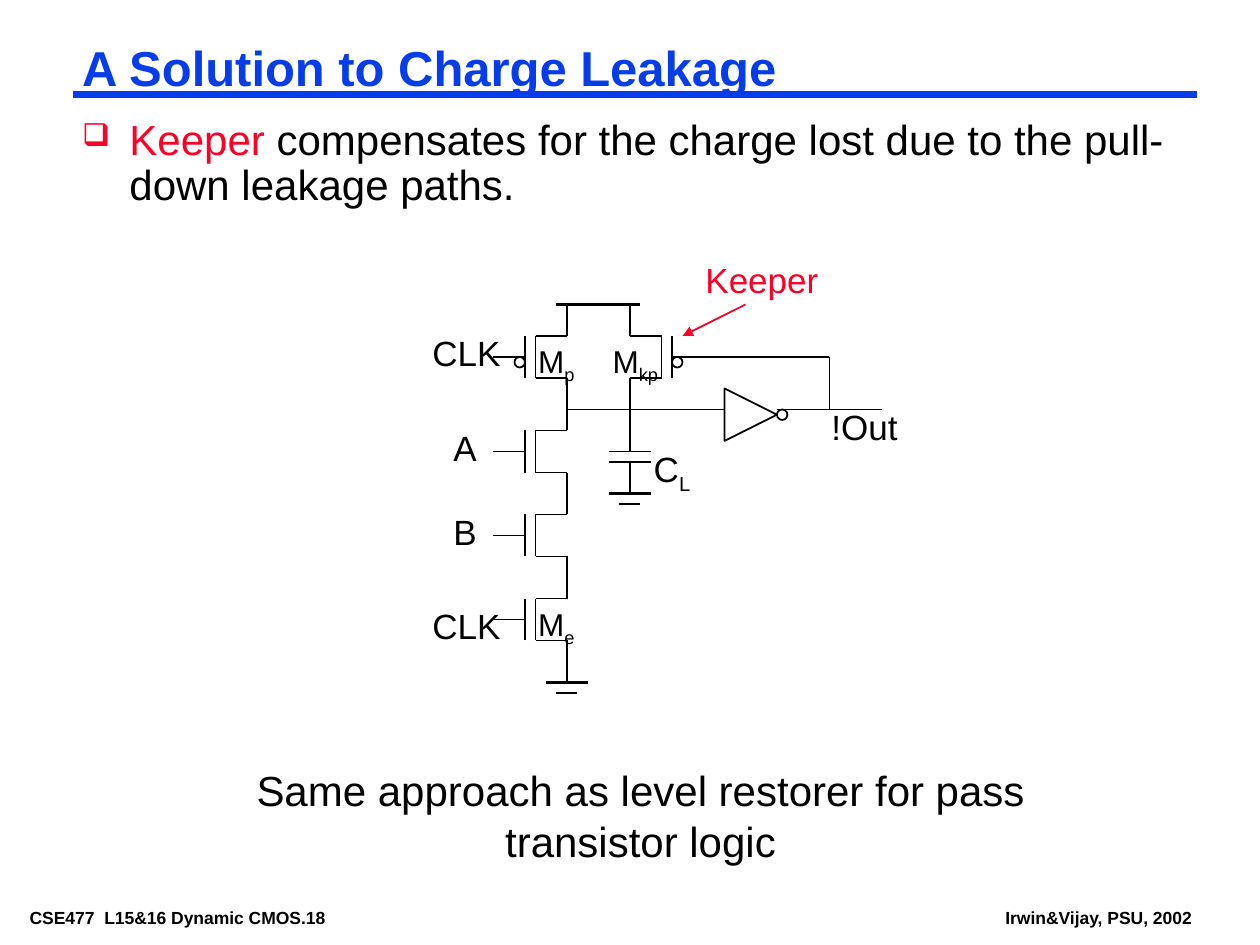
"""Build the charge leakage slide with its keeper circuit."""
from pptx import Presentation
from pptx.dml.color import RGBColor
from pptx.enum.shapes import MSO_CONNECTOR, MSO_SHAPE as Shape
from pptx.enum.text import MSO_AUTO_SIZE as AutoSize, PP_ALIGN as Align
from pptx.oxml.ns import qn
from pptx.util import Pt
from lxml.etree import SubElement

BLACK, BLUE, RED = "000000", "063DE8", "FC0128"
THIN, THICK = 1, 2.25
SMALL, WIDE = (5, 2.2), (7.2, 3.6)

TITLE = "A Solution to Charge Leakage"
BULLET = [("Keeper", RED),
          (" compensates for the charge lost due to the pull-down leakage paths.", BLACK)]
REMARK = "Same approach as level restorer for pass transistor logic"
FOOTERS = [("CSE477  L15&16 Dynamic CMOS.18", 12, 216),
           ("Irwin&Vijay, PSU, 2002", 569.5, 118)]

# drain x, top y, side of the gate, has a bubble
TRANSISTORS = [(324, 192, -1, True), (324, 246, -1, False), (324, 294, -1, False),
               (324, 342, -1, False), (360, 192, 1, True)]
GROUNDS = [(324, 390), (360, 282)]
SUPPLY = (318, 174, 366, 174)
WIRES = [(324, 234, 414, 234), (444, 234, 504, 234), (396, 204, 474, 204),
         (474, 204, 474, 234), (360, 234, 360, 258),
         (348, 258, 372, 258), (348, 264, 372, 264)]
POINTER = (426, 174, 390, 192)

# text, subscript, left, top, width, size, colour
LABELS = [("C", "L", 366.5, 252, 36, 20, BLACK),
          ("CLK", "", 240, 342, 54, 20, BLACK),
          ("CLK", "", 240, 186, 54, 20, BLACK),
          ("M", "e", 300.5, 342, 36, 18, BLACK),
          ("M", "p", 300.5, 192, 36, 18, BLACK),
          ("A", "", 252, 240, 28, 20, BLACK),
          ("B", "", 252, 288, 28, 20, BLACK),
          ("!Out", "", 468, 228, 53, 20, BLACK),
          ("M", "kp", 343, 192, 41, 18, BLACK),
          ("Keeper", "", 396, 144, 79, 20, RED)]


def rgb(color):
    return RGBColor.from_string(color)


def line(s, x1, y1, x2, y2, width=THIN, color=BLACK):
    c = s.shapes.add_connector(MSO_CONNECTOR.STRAIGHT, Pt(x1), Pt(y1), Pt(x2), Pt(y2))
    c.line.width, c.line.color.rgb = Pt(width), rgb(color)
    SubElement(c._element.spPr, qn("a:effectLst"))
    return c


def outline(s, kind, x, y, size, rotation=0):
    sp = s.shapes.add_shape(kind, Pt(x), Pt(y), Pt(size), Pt(size))
    sp.shadow.inherit = False
    sp.fill.background()
    sp.line.width, sp.line.color.rgb = Pt(THIN), rgb(BLACK)
    sp.rotation = rotation


def text_box(s, x, y, w, h, insets, wrap=True):
    tf = s.shapes.add_textbox(Pt(x), Pt(y), Pt(w), Pt(h)).text_frame
    tf.word_wrap = wrap
    tf.auto_size = AutoSize.SHAPE_TO_FIT_TEXT
    tf.margin_left = tf.margin_right = Pt(insets[0])
    tf.margin_top = tf.margin_bottom = Pt(insets[1])
    return tf.paragraphs[0]


def run(p, text, size, color=BLACK, bold=False):
    r = p.add_run()
    r.text = text
    r.font.name, r.font.size, r.font.bold = "Arial", Pt(size), bold
    r.font.color.rgb = rgb(color)
    return r


def transistor(s, x, y, side, bubble):
    channel, gate, lead = (x + side * d for d in (18, 24, 42))
    for ends in [(channel, y, x, y), (channel, y, channel, y + 24),
                 (channel, y + 24, x, y + 24), (gate, y, gate, y + 24),
                 (x, y + 24, x, y + 42), (lead, y + 12, gate, y + 12),
                 (x, y - 18, x, y)]:
        line(s, *ends)
    if bubble:
        outline(s, Shape.OVAL, min(gate, gate + side * 6), y + 12, 6)


def ground(s, x, y):
    line(s, x, y - 18, x, y)
    line(s, x - 12, y, x + 12, y, THICK)
    line(s, x - 6, y + 6, x + 6, y + 6)


def circuit(s):
    for part in TRANSISTORS:
        transistor(s, *part)
    line(s, *SUPPLY, THICK)
    for wire in WIRES:
        line(s, *wire)
    outline(s, Shape.ISOSCELES_TRIANGLE, 414, 222, 30, 90)
    outline(s, Shape.OVAL, 444, 234, 6)
    for part in GROUNDS:
        ground(s, *part)
    for text, sub, x, y, w, size, color in LABELS:
        p = text_box(s, x, y, w, 31.5, WIDE, wrap=False)
        run(p, text, size, color)
        if sub:
            run(p, sub, size, color).font._element.set("baseline", "-25000")
    arrow = line(s, *POINTER, THIN, RED)
    SubElement(arrow.line._get_or_add_ln(), qn("a:tailEnd"), type="triangle")


def bullet(p, char, color, percent, indent):
    pPr = p._p.get_or_add_pPr()
    pPr.set("marL", str(Pt(indent)))
    pPr.set("indent", str(-Pt(indent)))
    SubElement(SubElement(pPr, qn("a:buClr")), qn("a:srgbClr"), val=color)
    SubElement(pPr, qn("a:buSzPct"), val=str(percent * 1000))
    SubElement(pPr, qn("a:buChar"), char=char)


def main():
    prs = Presentation()
    prs.slide_width, prs.slide_height = Pt(720), Pt(540)
    s = prs.slides.add_slide(prs.slide_layouts[6])

    for text, x, w in FOOTERS:
        run(text_box(s, x, 516, w, 16, SMALL), text, 10, bold=True)
    line(s, 42, 54, 684, 54, 4.5, BLUE)
    p = text_box(s, 42, 24, 642, 33, SMALL)
    p.line_spacing = 0.87
    run(p, TITLE, 28, BLUE, True)

    circuit(s)

    p = text_box(s, 102, 433.5, 528, 65, WIDE)
    p.alignment = Align.CENTER
    run(p, REMARK, 24)
    p = text_box(s, 42, 66, 642, 56, SMALL)
    p.line_spacing = 0.9
    bullet(p, "❑", RED, 75, 27)
    for text, color in BULLET:
        run(p, text, 24, color)
    prs.save("out.pptx")


if __name__ == "__main__":
    main()
